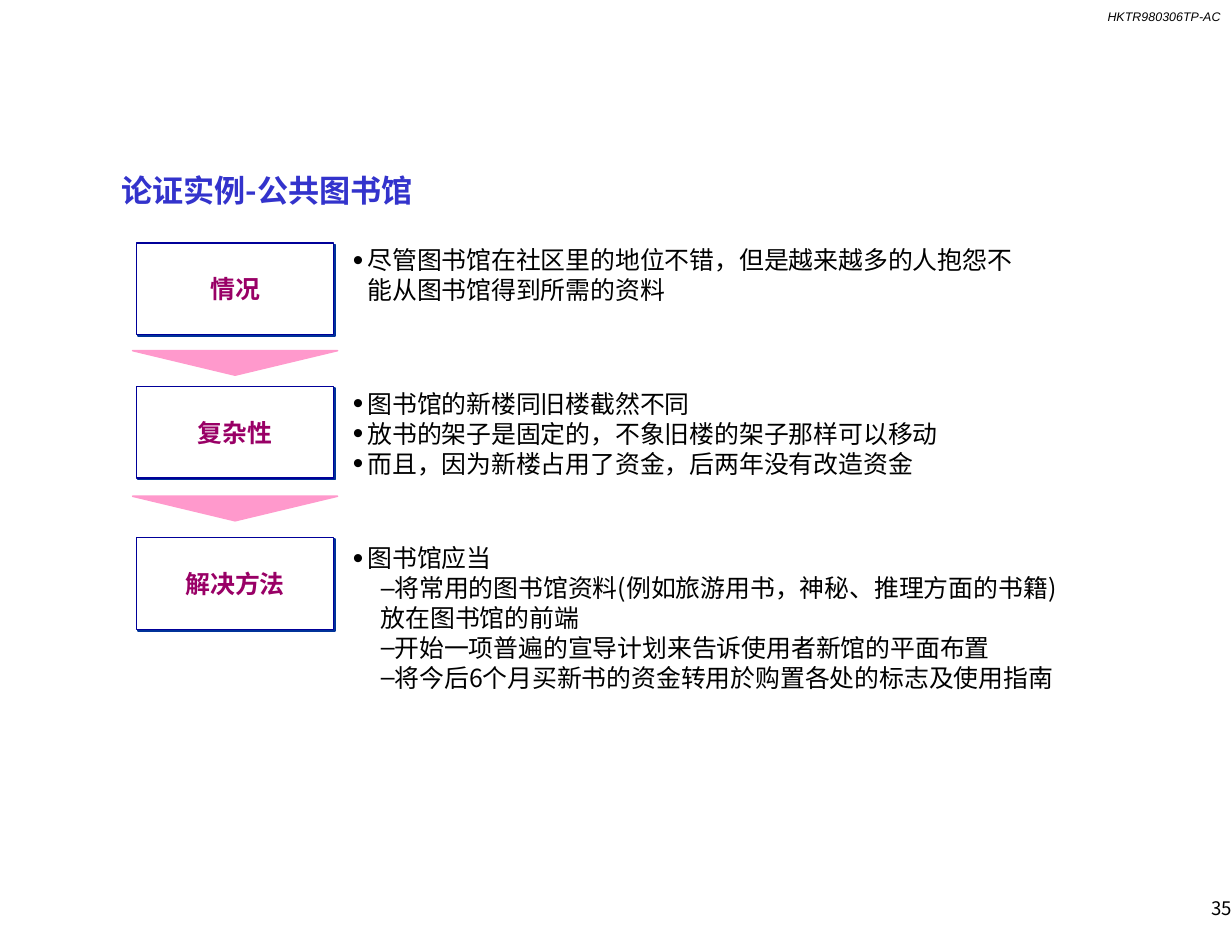
from dataclasses import dataclass

import pptx
import pptx.dml.color
import pptx.enum.shapes
import pptx.enum.text
import pptx.oxml
import pptx.oxml.ns
import pptx.util

Pt = pptx.util.Pt
Align = pptx.enum.text.PP_ALIGN
Anchor = pptx.enum.text.MSO_ANCHOR


@dataclass(frozen=True)
class Theme:
    """Fonts, type sizes and colours of the slide."""
    font: str = "Noto Sans CJK SC"
    code_font: str = "Arial"
    title_size: int = 20
    text_size: int = 16
    number_size: int = 12
    code_size: int = 8
    title: str = "3333CC"
    text: str = "000000"
    label: str = "990066"
    box_fill: str = "FFFFFF"
    box_line: str = "000099"
    shadow: str = "003399"
    arrow: str = "FF99CC"


THEME = Theme()
BOX_LEFT, BOX_WIDTH, BOX_HEIGHT = 87.8, 126.7, 59
ARROW_WIDTH, ARROW_HEIGHT = 131.8, 15.8
ARROW_TOPS = (225.4, 319)
LIST_LEFT = 226.8

STAGES = [
    ("情况", 156.2, (155.5, 437, 38.2), [
        (1, "尽管图书馆在社区里的地位不错，但是越来越多的人抱怨不能从图书馆得到所需的资料"),
    ]),
    ("复杂性", 248.4, (247.7, 476.6, 57.6), [
        (1, "图书馆的新楼同旧楼截然不同"),
        (1, "放书的架子是固定的，不象旧楼的架子那样可以移动"),
        (1, "而且，因为新楼占用了资金，后两年没有改造资金"),
    ]),
    ("解决方法", 345.6, (347, 460.8, 95.8), [
        (1, "图书馆应当"),
        (2, "将常用的图书馆资料(例如旅游用书，神秘、推理方面的书籍)放在图书馆的前端"),
        (2, "开始一项普遍的宣导计划来告诉使用者新馆的平面布置"),
        (2, "将今后6个月买新书的资金转用於购置各处的标志及使用指南"),
    ]),
]


def colour(value):
    """Return an RGB colour from its hex value."""
    return pptx.dml.color.RGBColor.from_string(value)


def xml(markup):
    """Parse one drawing element."""
    return pptx.oxml.parse_xml(markup.replace(" ", f' {pptx.oxml.ns.nsdecls("a")} ', 1))


def place(shape, left, top, width, height):
    """Move and size a shape in points."""
    shape.left, shape.top = Pt(left), Pt(top)
    shape.width, shape.height = Pt(width), Pt(height)


def prepare_frame(frame, anchor, top_inset=0):
    """Set a wrapping text frame with no side insets."""
    frame.word_wrap = True
    frame.auto_size = pptx.enum.text.MSO_AUTO_SIZE.NONE
    frame.vertical_anchor = anchor
    frame.margin_left = frame.margin_right = frame.margin_bottom = 0
    frame.margin_top = Pt(top_inset)


def format_runs(paragraph, size, ink, font=THEME.font, bold=False, italic=False):
    """Format every run of a paragraph."""
    for span in paragraph.runs:
        span.font.size = Pt(size)
        span.font.name = font
        span.font.bold = bold
        span.font.italic = italic
        span.font.color.rgb = colour(ink)
        span.font._element.find(pptx.oxml.ns.qn("a:latin")).addnext(
            xml(f'<a:ea typeface="{font}"/>'))


def add_bullet(paragraph, level):
    """Give a paragraph the bullet and indent of its level."""
    margin, indent, mark, scale = {1: (9.4, -9.4, "•", 120), 2: (18, 0, "–", 100)}[level]
    paragraph.level = level
    properties = paragraph._p.get_or_add_pPr()
    properties.set("marL", str(Pt(margin)))
    properties.set("indent", str(Pt(indent)))
    for markup in (
        f'<a:buClr ><a:srgbClr val="{THEME.text}"/></a:buClr>',
        f'<a:buSzPct val="{scale * 1000}"/>',
        f'<a:buFont typeface="{THEME.code_font}"/>',
        f'<a:buChar char="{mark}"/>',
    ):
        properties.append(xml(markup))


def set_spacing(paragraph, size):
    """Set a line pitch of 1.2 times the type size."""
    paragraph.alignment = Align.LEFT
    paragraph.space_before = paragraph.space_after = Pt(0)
    paragraph.line_spacing = Pt(size * 1.2)


def fill_title(title, text):
    """Place and format the slide title."""
    place(title, 77.8, 108, 643, 24)
    title.text_frame.text = text
    prepare_frame(title.text_frame, Anchor.TOP, 2)
    paragraph = title.text_frame.paragraphs[0]
    set_spacing(paragraph, THEME.title_size)
    format_runs(paragraph, THEME.title_size, THEME.title, bold=True)


def fill_list(body, top, width, height, items):
    """Fill a body placeholder with a bulleted list."""
    place(body, LIST_LEFT, top, width, height)
    frame = body.text_frame
    frame.text = "\n".join(text for _, text in items)
    prepare_frame(frame, Anchor.TOP, 2)
    for paragraph, (level, _) in zip(frame.paragraphs, items):
        add_bullet(paragraph, level)
        set_spacing(paragraph, THEME.text_size)
        format_runs(paragraph, THEME.text_size, THEME.text)


def add_stage_box(page, label, top):
    """Add a labelled stage box with a thin offset shadow."""
    box = page.shapes.add_shape(
        pptx.enum.shapes.MSO_SHAPE.RECTANGLE,
        Pt(BOX_LEFT), Pt(top), Pt(BOX_WIDTH), Pt(BOX_HEIGHT))
    box.fill.solid()
    box.fill.fore_color.rgb = colour(THEME.box_fill)
    box.line.color.rgb = colour(THEME.box_line)
    box.line.width = Pt(1)
    box.shadow.inherit = False
    box._element.spPr.find(pptx.oxml.ns.qn("a:effectLst")).append(xml(
        f'<a:outerShdw dist="{Pt(1.4)}" dir="2700000" algn="ctr" rotWithShape="0">'
        f'<a:srgbClr val="{THEME.shadow}"/></a:outerShdw>'))
    frame = box.text_frame
    frame.text = label
    frame.word_wrap = False
    frame.vertical_anchor = Anchor.MIDDLE
    frame.paragraphs[0].alignment = Align.CENTER
    format_runs(frame.paragraphs[0], THEME.text_size, THEME.label, bold=True)


def add_arrow(page, top):
    """Add a flat triangle that points down to the next stage."""
    centre = BOX_LEFT + BOX_WIDTH / 2
    half = ARROW_WIDTH / 2
    builder = page.shapes.build_freeform(Pt(centre), Pt(top + ARROW_HEIGHT))
    builder.add_line_segments([(Pt(centre + half), Pt(top)), (Pt(centre - half), Pt(top))])
    arrow = builder.convert_to_shape()
    arrow.fill.solid()
    arrow.fill.fore_color.rgb = colour(THEME.arrow)
    arrow.line.color.rgb = colour(THEME.arrow)
    arrow.line.width = Pt(1)
    arrow.shadow.inherit = False


def add_note(page, text, area, anchor, size, **style):
    """Add a right-aligned line of text at the slide edge."""
    box = page.shapes.add_textbox(*map(Pt, area))
    box.text_frame.text = text
    prepare_frame(box.text_frame, anchor)
    paragraph = box.text_frame.paragraphs[0]
    paragraph.alignment = Align.RIGHT
    format_runs(paragraph, size, THEME.text, **style)


def main():
    """Build the slide and save the deck."""
    deck = pptx.Presentation()
    deck.slide_width, deck.slide_height = Pt(792), Pt(612)
    page = deck.slides.add_slide(deck.slide_layouts.get_by_name("Comparison"))
    title, *bodies = page.placeholders
    add_note(page, "HKTR980306TP-AC", (654.5, 5.8, 130.3, 9.4), Anchor.TOP,
             THEME.code_size, font=THEME.code_font, italic=True)
    fill_title(title, "论证实例-公共图书馆")
    for body, (label, top, list_area, items) in zip(bodies, STAGES):
        fill_list(body, *list_area, items)
        add_stage_box(page, label, top)
    for body in bodies[len(STAGES):]:
        body._element.getparent().remove(body._element)
    for top in ARROW_TOPS:
        add_arrow(page, top)
    add_note(page, "35", (630, 575.3, 162, 17.3), Anchor.MIDDLE, THEME.number_size)
    deck.save("out.pptx")


if __name__ == "__main__":
    main()
